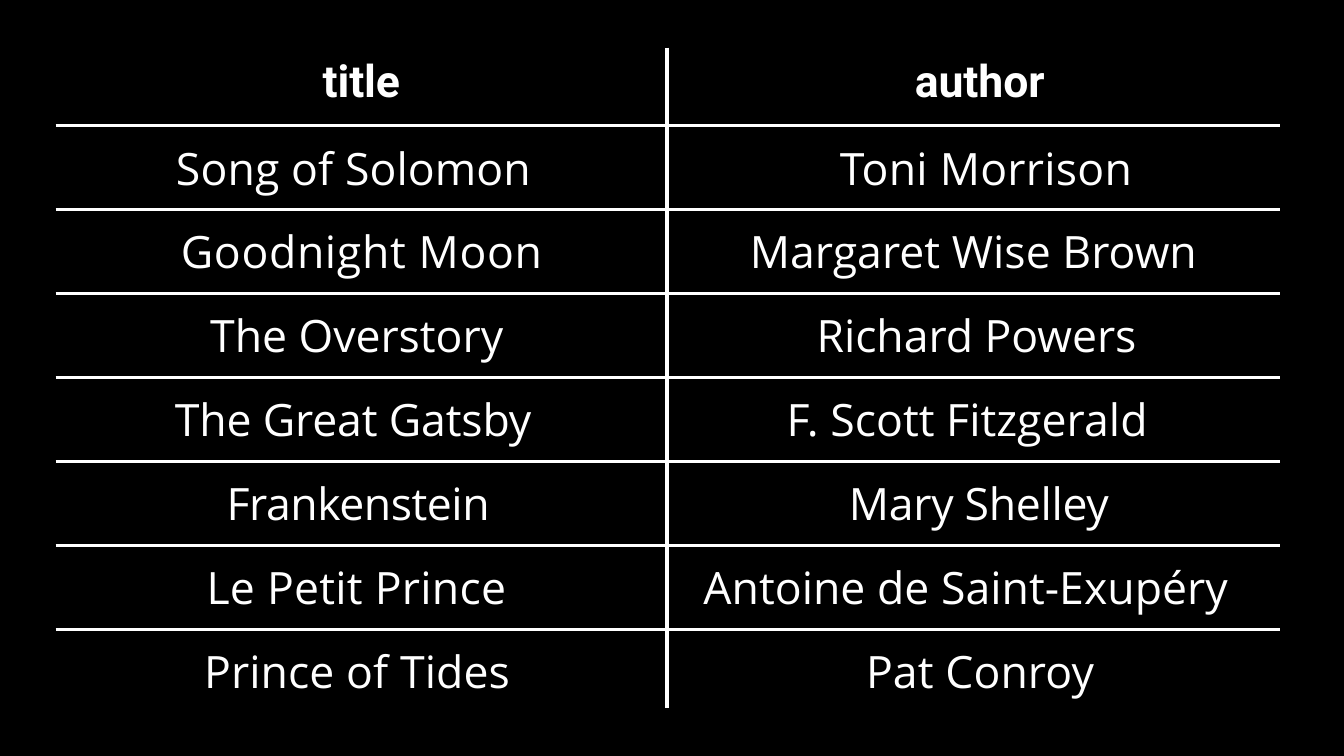
from lxml.etree import SubElement
from pptx import Presentation
from pptx.dml.color import RGBColor
from pptx.enum.shapes import MSO_CONNECTOR, MSO_SHAPE
from pptx.enum.text import MSO_ANCHOR
from pptx.oxml.ns import qn
from pptx.util import Inches, Pt

WHITE = "FFFFFF"
BLACK = "000000"
PLAIN = "{2D5ABB26-0587-4C30-8999-92F81FD0307C}"
SPLIT = 10
EDGE = 1.28
BOOKS = [
    [("title", 4.37, -0.1), ("author", 4.06, -0.1)],
    [("Song of Solomon", 1.97, 0.2), ("Toni Morrison", 2.83, 0.4)],
    [("Goodnight Moon", 2.05, 0.85), ("Margaret Wise Brown", 1.36, 0.1)],
    [("The Overstory", 2.53, 0), ("Richard Powers", 2.45, 0)],
    [("The Great Gatsby", 1.95, -0.1), ("F. Scott Fitzgerald", 1.96, 0.1)],
    [("Frankenstein", 2.8, -0.5), ("Mary Shelley", 2.98, -0.3)],
    [("Le Petit Prince", 2.47, 0.4), ("Antoine de Saint-Exupéry", 0.6, 0.1)],
    [("Prince of Tides", 2.43, 0.2), ("Pat Conroy", 3.26, 0.2)],
]


def paint(color, tone):
    color.rgb = RGBColor.from_string(tone)


def backdrop(slide, width, height):
    shape = slide.shapes.add_shape(MSO_SHAPE.RECTANGLE, 0, 0, width, height)
    shape.shadow.inherit = False
    shape.fill.solid()
    paint(shape.fill.fore_color, BLACK)
    shape.line.fill.background()


def rule(slide, left, top, right, bottom, weight):
    line = slide.shapes.add_connector(
        MSO_CONNECTOR.STRAIGHT,
        Inches(left), Inches(top), Inches(right), Inches(bottom))
    line.line.width = Pt(weight)
    paint(line.line.color, WHITE)
    SubElement(line.element.spPr, qn("a:effectLst"))


def write(cell, text, indent, gap, head):
    cell.margin_left = Inches(indent)
    cell.margin_right = cell.margin_bottom = 0
    cell.margin_top = Inches(0.14 if head else 0.19)
    cell.vertical_anchor = MSO_ANCHOR.TOP
    cell.fill.background()
    cell.text = text
    line = cell.text_frame.paragraphs[0]
    font = line.font
    font.name = "Roboto" if head else "Open Sans"
    font.size = Pt(52.5)
    font.bold = head
    paint(font.color, WHITE)
    line.runs[0]._r.get_or_add_rPr().set("spc", str(round(gap * 100)))


def grid(slide, left, top, width, height):
    count = len(BOOKS)
    frame = slide.shapes.add_table(
        count, 2, Inches(left), Inches(top), Inches(width), Inches(height))
    frame.element.xpath(".//a:tableStyleId")[0].text = PLAIN
    table = frame.table
    table.first_row = table.horz_banding = False
    table.columns[0].width = Inches(SPLIT)
    table.columns[1].width = Inches(width - SPLIT)
    inner = (height - 2 * EDGE) / (count - 2)
    for r, book in enumerate(BOOKS):
        table.rows[r].height = Inches(EDGE if r in (0, count - 1) else inner)
        for c, entry in enumerate(book):
            write(table.cell(r, c), *entry, r == 0)
    rule(slide, left + SPLIT, top, left + SPLIT, top + height, 4.12)
    for r in range(count - 1):
        level = top + EDGE + r * inner
        rule(slide, left, level, left + width, level, 3.3)


def main():
    deck = Presentation()
    deck.slide_width = Inches(21.99)
    deck.slide_height = Inches(12.37)
    slide = deck.slides.add_slide(deck.slide_layouts[6])
    backdrop(slide, deck.slide_width, deck.slide_height)
    grid(slide, 0.91, 0.78, 20.04, 10.8)
    deck.save("out.pptx")


if __name__ == "__main__":
    main()
